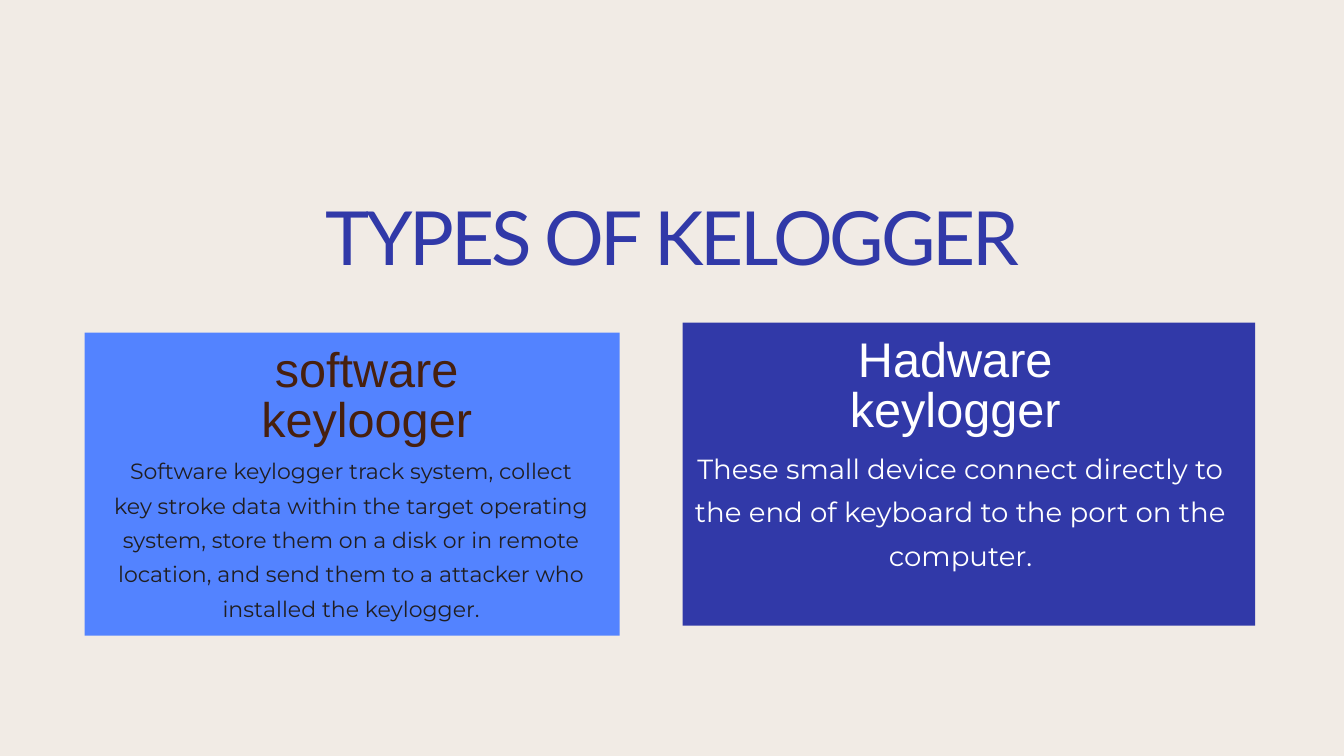
"""Build the slide on the two types of keylogger."""
from dataclasses import dataclass

from pptx import Presentation
from pptx.dml.color import RGBColor
from pptx.enum import shapes, text
from pptx.util import Pt

BLUE, SKY, CREAM, WHITE = "3139A8", "5383FF", "F1EBE5", "FFFFFF"
BROWN, INK = "47200F", "201E21"


@dataclass
class Frame:
    left: float
    top: float
    width: float
    height: float


@dataclass
class Label:
    words: str
    frame: Frame
    size: float
    leading: float
    color: str


@dataclass
class Card:
    frame: Frame
    fill: str
    heading: Label
    body: Label


CARDS = [
    Card(
        Frame(90.7, 356.4, 573.1, 324.7), SKY,
        Label("software keylooger", Frame(218.2, 371.5, 349.2, 110.2), 52.1, 53.6, BROWN),
        Label("Software keylogger track system, collect key stroke data within the "
              "target operating system, store them on a disk or in remote location, "
              "and send them to a attacker who installed the keylogger.",
              Frame(120.2, 481.7, 511.9, 218.9), 23.6, 36.9, INK),
    ),
    Card(
        Frame(731.5, 345.6, 613.4, 324.7), BLUE,
        Label("Hadware keylogger", Frame(873.4, 361.4, 300.2, 110.2), 52.1, 53.6, WHITE),
        Label("These small device connect directly to the end of keyboard to the "
              "port on the computer.",
              Frame(731.5, 473.8, 595.4, 180.7), 29.6, 46.2, WHITE),
    ),
]


def paint(fill, color: str) -> None:
    """Give a fill one solid colour."""
    fill.solid()
    fill.fore_color.rgb = RGBColor.from_string(color)


def points(frame: Frame) -> list:
    """Return the four measures of a frame as lengths."""
    return [Pt(value) for value in (frame.left, frame.top, frame.width, frame.height)]


def write(box, words: str, *, font: str, size: float, leading: float,
          color: str, spacing: float = 0) -> None:
    """Fill a box with one centred, formatted paragraph."""
    frame = box.text_frame
    frame.word_wrap = True
    frame.auto_size = text.MSO_AUTO_SIZE.NONE
    frame.vertical_anchor = text.MSO_ANCHOR.TOP
    frame.margin_left = frame.margin_right = frame.margin_top = frame.margin_bottom = 0
    para = frame.paragraphs[0]
    para.alignment = text.PP_ALIGN.CENTER
    para.line_spacing = Pt(leading)
    para.space_before = Pt(0)
    span = para.add_run()
    span.text = words
    span.font.name = font
    span.font.size = Pt(size)
    paint(span.font.fill, color)
    if spacing:
        span.font._element.set("spc", str(round(spacing * 100)))


def add_label(page, label: Label, font: str) -> None:
    """Add a text box for a label."""
    box = page.shapes.add_textbox(*points(label.frame))
    write(box, label.words, font=font, size=label.size,
          leading=label.leading, color=label.color)


def add_card(page, card: Card) -> None:
    """Add a coloured panel with its heading and body."""
    panel = page.shapes.add_shape(shapes.MSO_SHAPE.RECTANGLE, *points(card.frame))
    panel.shadow.inherit = False
    paint(panel.fill, card.fill)
    panel.line.fill.background()
    add_label(page, card.heading, "Arial")
    add_label(page, card.body, "Montserrat")


def main() -> None:
    """Create the deck and save it."""
    deck = Presentation()
    deck.slide_width, deck.slide_height = Pt(1440), Pt(810)
    page = deck.slides.add_slide(deck.slide_layouts[5])
    paint(page.background.fill, CREAM)
    title = page.shapes.title
    title.left, title.top, title.width, title.height = points(Frame(195.1, 220.3, 1050.5, 83.5))
    write(title, "TYPES OF KELOGGER", font="Lato", size=80, leading=80,
          color=BLUE, spacing=-3.4)
    for card in CARDS:
        add_card(page, card)
    deck.save("out.pptx")


if __name__ == "__main__":
    main()
